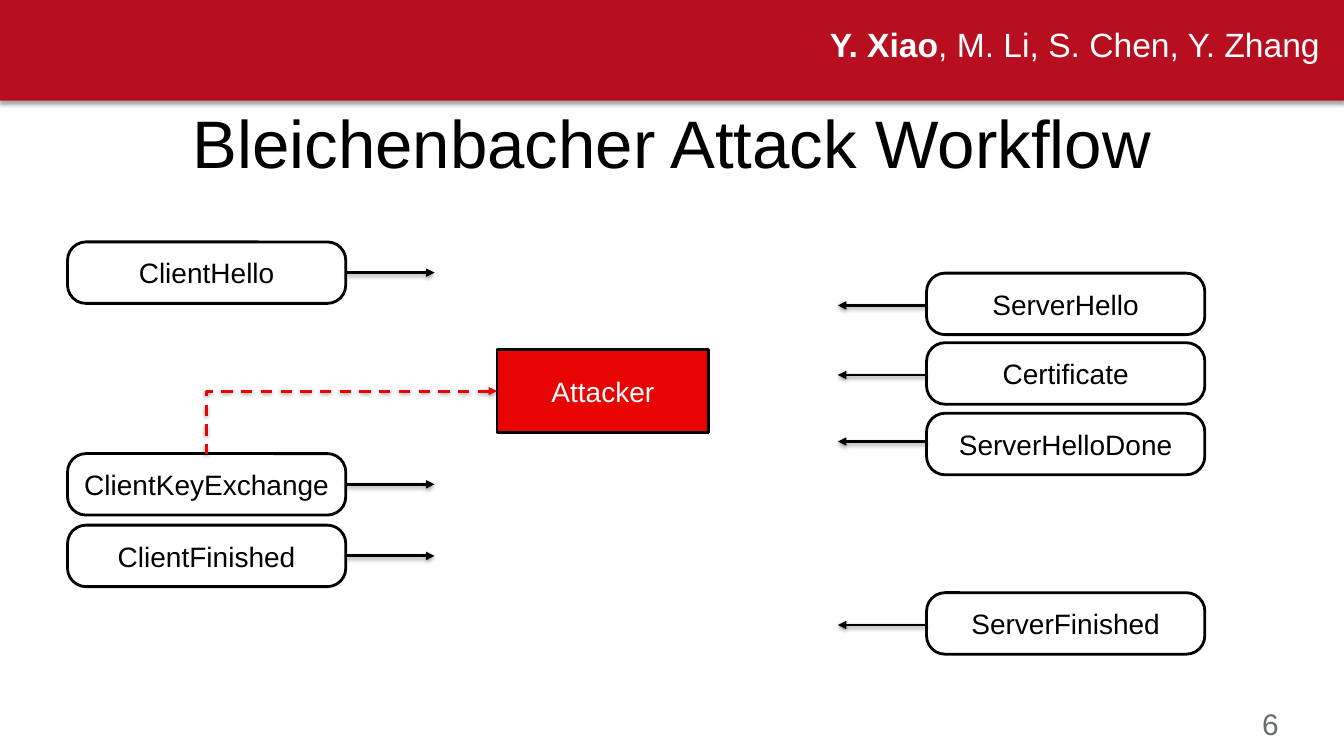
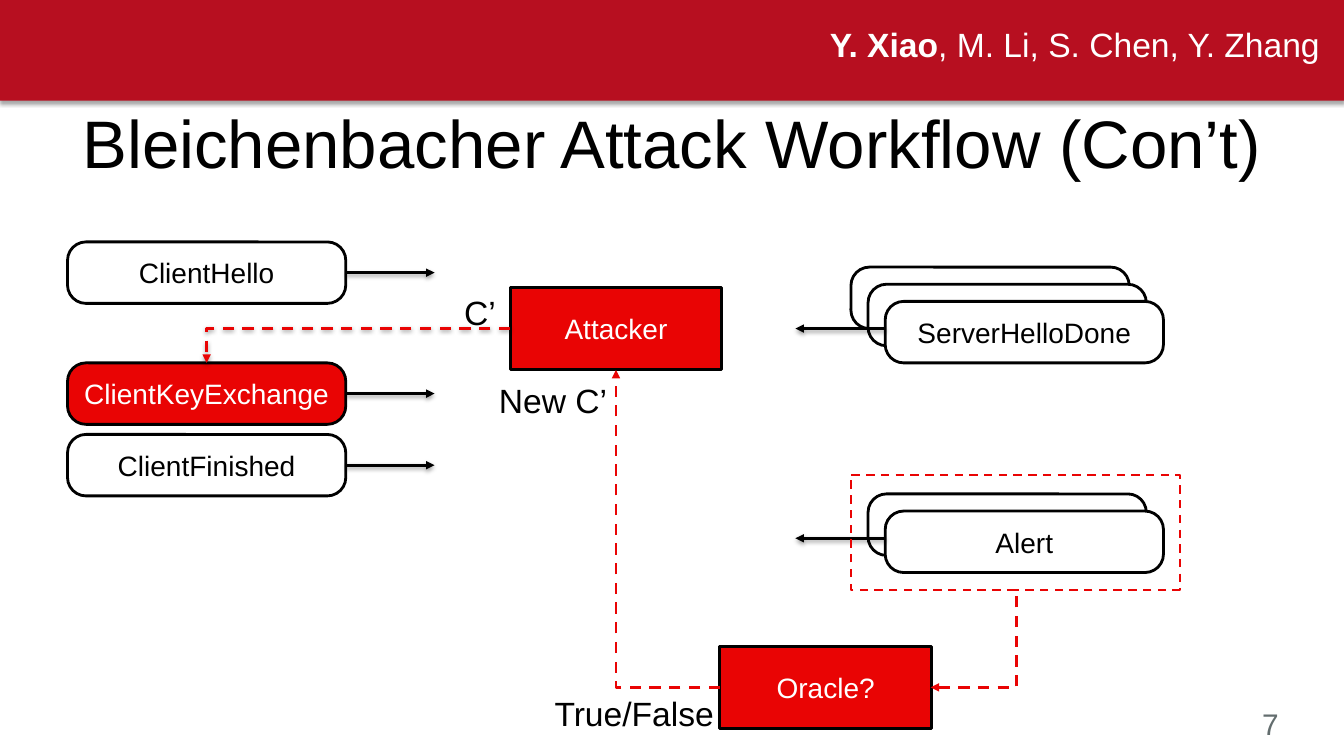
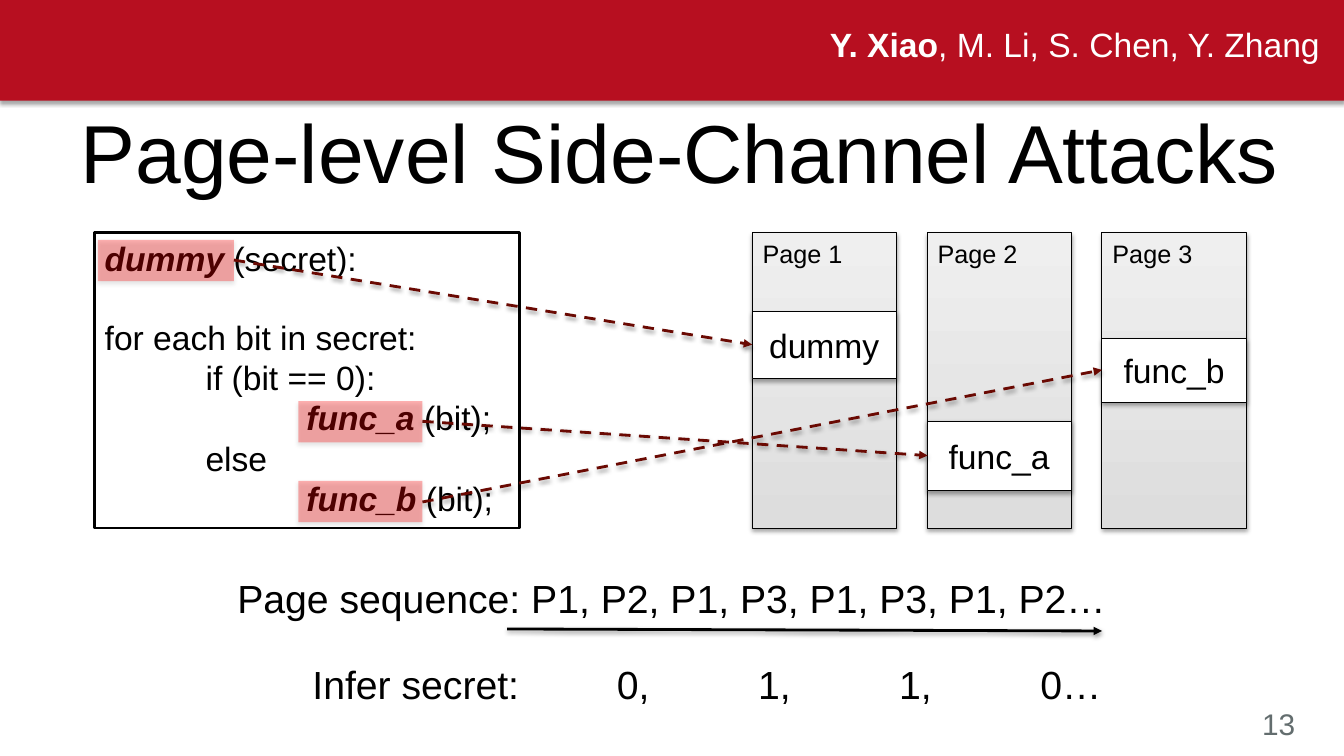
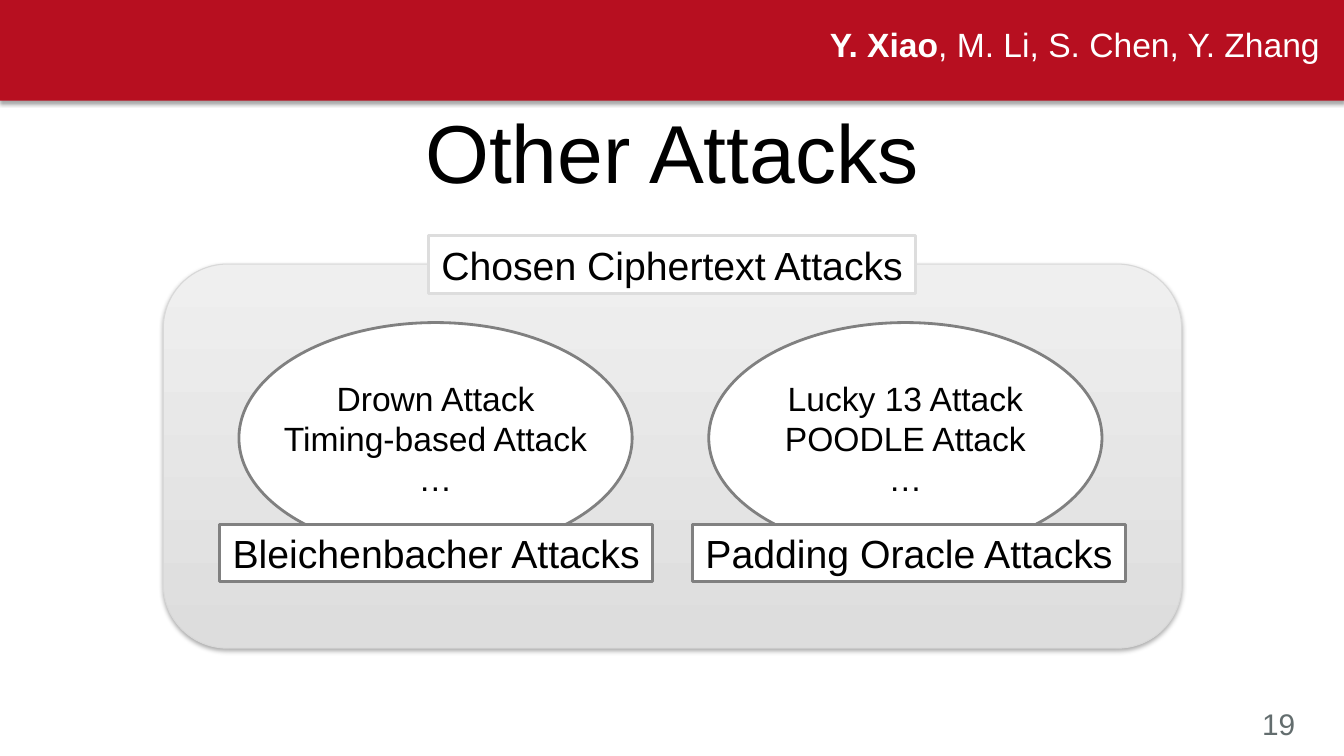
from lxml import etree
from pptx import Presentation
from pptx.dml.color import RGBColor
from pptx.enum.dml import MSO_LINE
from pptx.enum.shapes import MSO_CONNECTOR, MSO_SHAPE
from pptx.enum.text import MSO_ANCHOR, PP_ALIGN
from pptx.oxml import parse_xml
from pptx.oxml.ns import nsdecls, qn
from pptx.util import Inches, Pt

RECT, ROUND, OVAL = MSO_SHAPE.RECTANGLE, MSO_SHAPE.ROUNDED_RECTANGLE, MSO_SHAPE.OVAL
LEFT, CENTER, RIGHT = PP_ALIGN.LEFT, PP_ALIGN.CENTER, PP_ALIGN.RIGHT
TOP, MIDDLE = MSO_ANCHOR.TOP, MSO_ANCHOR.MIDDLE
STRAIGHT, ELBOW = MSO_CONNECTOR.STRAIGHT, MSO_CONNECTOR.ELBOW
DASH = MSO_LINE.DASH

FONT = "Arial"
C = {
    "band": "B70F20", "number": "636D6E", "red": "E90404", "dark_red": "6A0902",
    "mark": "FF0000", "black": "000000", "white": "FFFFFF", "grey": "808080",
    "grad_dark": "DDDDDD", "grad_light": "EFEFEF", "panel_edge": "D8D8D8",
}
SHADOW = (
    f'<a:outerShdw {nsdecls("a")} blurRad="40000" dist="%d" dir="5400000" rotWithShape="0">'
    '<a:srgbClr val="000000"><a:alpha val="%d"/></a:srgbClr></a:outerShdw>'
)
SHAPE_SHADOW = SHADOW % (23000, 35000)
LINE_SHADOW = SHADOW % (20000, 38000)


def box(s, kind, at, text="", fill=None, line=None, width=2, size=20, color="black",
        align=CENTER, anchor=MIDDLE, wrap=False, shadow=False, radius=None):
    """Add a shape, or a text box if kind is None; text between bars is bold."""
    at = [Inches(v) for v in at]
    sp = s.shapes.add_shape(kind, *at) if kind else s.shapes.add_textbox(*at)
    if radius:
        sp.adjustments[0] = radius
    if fill == "gradient":
        sp.fill.gradient()
        sp.fill.gradient_angle = 90
        for stop, name in zip(sp.fill.gradient_stops, ("grad_dark", "grad_light")):
            stop.color.rgb = RGBColor.from_string(C[name])
    elif fill:
        sp.fill.solid()
        sp.fill.fore_color.rgb = RGBColor.from_string(C[fill])
    else:
        sp.fill.background()
    if line:
        sp.line.color.rgb = RGBColor.from_string(C[line])
        sp.line.width = Pt(width)
    else:
        sp.line.fill.background()
    sp.shadow.inherit = False
    if shadow:
        sp._element.spPr.find(qn("a:effectLst")).append(parse_xml(SHAPE_SHADOW))

    tf = sp.text_frame
    tf.word_wrap, tf.vertical_anchor = wrap, anchor
    for i, row in enumerate(text.split("\n") if text else []):
        p = tf.add_paragraph() if i else tf.paragraphs[0]
        p.alignment = align
        for j, part in enumerate(row.split("|")):
            if part:
                r = p.add_run()
                r.text = part
                r.font.color.rgb = RGBColor.from_string(C[color])
                for key, value in {"name": FONT, "size": Pt(size), "bold": j % 2 == 1}.items():
                    setattr(r.font, key, value)
    return sp


def link(s, start, end, color="black", dash=False, bent=False, arrow="tailEnd", shadow=True):
    """Add an arrow; a bent one leaves start horizontally, headEnd points it at start."""
    c = s.shapes.add_connector(ELBOW if bent else STRAIGHT, *[Inches(v) for v in start + end])
    c.line.color.rgb = RGBColor.from_string(C[color])
    c.line.width = Pt(2)
    if dash:
        c.line.dash_style = DASH
    spPr = c._element.spPr
    if bent:
        spPr.find(qn("a:prstGeom")).set("prst", "bentConnector2")
    etree.SubElement(spPr.find(qn("a:ln")), qn(f"a:{arrow}"), type="triangle")
    effects = etree.SubElement(spPr, qn("a:effectLst"))
    if shadow:
        effects.append(parse_xml(LINE_SHADOW))


prs = Presentation()
prs.slide_width, prs.slide_height = Inches(13.33), Inches(7.5)

# Shared frame: band, authors, title, number
slides = []
for number, title, size, left in [
    (6, "Bleichenbacher Attack Workflow", 48, 0),
    (7, "Bleichenbacher Attack Workflow (Con’t)", 48, 0),
    (13, "Page-level Side-Channel Attacks", 58.7, 0.14),
    (19, "Other Attacks", 58.7, 0),
]:
    s = prs.slides.add_slide(prs.slide_layouts[6])
    box(s, RECT, (0, 0, 13.33, 1), fill="band", shadow=True)
    box(s, None, (8.08, 0.19, 5.11, 0.5), "|Y. Xiao|, M. Li, S. Chen, Y. Zhang",
        size=24, color="white", align=RIGHT)
    box(s, None, (left, 0.96, 13.33 - left, 0.91), title, size=size, anchor=TOP)
    box(s, None, (12.42, 6.95, 0.57, 0.46), str(number), size=21.3, color="number",
        align=LEFT, wrap=True)
    slides.append(s)
workflow, workflow_2, paging, others = slides

# Client messages of both workflow slides
MSG_W, MSG_H = 2.76, 0.61
MESSAGE = {"fill": "white", "line": "black", "radius": 0.3}
ACTOR = {"fill": "red", "line": "black", "color": "white"}
for s, tops in [(workflow, (2.4, 4.5, 5.21)), (workflow_2, (2.4, 3.6, 4.31))]:
    for name, top in zip(("ClientHello", "ClientKeyExchange", "ClientFinished"), tops):
        forged = s is workflow_2 and name == "ClientKeyExchange"
        box(s, ROUND, (0.67, top, MSG_W, MSG_H), name, **MESSAGE | (ACTOR if forged else {}))
        link(s, (3.43, top + MSG_H / 2), (4.31, top + MSG_H / 2))

# Workflow
for name, top, arrow_y in [
    ("ServerHello", 2.71, 3.03), ("Certificate", 3.4, 3.72),
    ("ServerHelloDone", 4.1, 4.38), ("ServerFinished", 5.88, 6.2),
]:
    box(workflow, ROUND, (9.19, top, MSG_W, MSG_H), name, **MESSAGE)
    link(workflow, (9.19, arrow_y), (8.31, arrow_y))
box(workflow, RECT, (4.93, 3.47, 2.1, 0.82), "Attacker", **ACTOR)
link(workflow, (4.93, 3.88), (2.05, 4.5), "red", dash=True, bent=True, arrow="headEnd")

# Workflow, continued: stacked server replies feed the oracle
s = workflow_2
for name, top, count in [("ServerHelloDone", 2.99, 3), ("Alert", 5.07, 2)]:
    for back in reversed(range(count)):
        shift = 0.17 * back
        box(s, ROUND, (8.78 - shift, top - shift, MSG_W, MSG_H), "" if back else name, **MESSAGE)
    link(s, (8.78, top + 0.27), (7.89, top + 0.27))
box(s, RECT, (8.44, 4.71, 3.26, 1.14), line="red", width=1.5).line.dash_style = DASH
for name, left, top in [("Attacker", 5.06, 2.85), ("Oracle?", 7.14, 6.41)]:
    box(s, RECT, (left, top, 2.1, 0.82), name, **ACTOR)
for start, end, arrow, shadow in [
    ((9.23, 6.82), (10.08, 5.85), "headEnd", False),
    ((7.14, 6.82), (6.11, 3.67), "tailEnd", False),
    ((5.06, 3.26), (2.05, 3.6), "tailEnd", True),
]:
    link(s, start, end, "red", dash=True, bent=True, arrow=arrow, shadow=shadow)
for label, left, top, width in [
    ("C’", 4.5, 2.85, 0.52), ("New C’", 4.84, 3.72, 1.29), ("True/False", 5.39, 6.82, 1.8),
]:
    box(s, None, (left, top, width, 0.5), label, size=24)

# Page-level attacks: code, marked calls, pages
s = paging
code = (
    "|dummy| (secret):\nfor each bit in secret:\nif (bit == 0):\n"
    "|func_a| (bit);\nelse\n|func_b| (bit);"
)
sp = box(s, RECT, (0.94, 2.31, 4.21, 2.93), code, fill="white", line="black", size=24,
         align=LEFT, anchor=TOP, wrap=True)
for p, depth in zip(sp.text_frame.paragraphs, (0, 0, 1, 2, 1, 2)):
    p._p.get_or_add_pPr().set("marL", str(Inches(depth)))
    for r in p.runs:
        r.font.italic = r.font.bold
sp.text_frame.paragraphs[1].space_before = Pt(27.6)

for left, top, width in [(0.97, 2.38, 1.35), (2.96, 4.77, 1.23), (2.96, 3.98, 1.23)]:
    sp = box(s, RECT, (left, top, width, 0.41), fill="mark", shadow=True)
    mark = sp._element.spPr.find(qn("a:solidFill"))[0]
    etree.SubElement(mark, qn("a:alpha"), val="30000")

for i, (name, top, height) in enumerate(
    [("dummy", 3.09, 0.67), ("func_a", 4.18, 0.69), ("func_b", 3.36, 0.63)]
):
    left = 7.46 + 1.735 * i
    page = {"line": "black", "width": 0.75, "shadow": True}
    box(s, RECT, (left, 2.31, 1.43, 2.93), fill="gradient", **page)
    box(s, RECT, (left, top, 1.43, height), name, fill="white", size=24, **page)
    box(s, None, (left, 2.31, 1, 0.4), f"Page {i + 1}", size=18)
for start, end in [
    ((2.32, 2.58), (7.46, 3.42)), ((4.19, 4.98), (10.93, 3.67)), ((4.19, 4.18), (9.2, 4.52)),
]:
    link(s, start, end, "dark_red", dash=True)

box(s, None, (2.24, 5.65, 8.84, 0.57), "Page sequence: P1, P2, P1, P3, P1, P3, P1, P2…", size=28)
link(s, (5.03, 6.24), (10.93, 6.26))
sp = box(s, None, (3, 6.5, 8.11, 0.57), "Infer secret:\t0,\t1,\t1,\t0…", size=28,
         align=LEFT, wrap=True)
tabs = etree.SubElement(sp.text_frame.paragraphs[0]._p.get_or_add_pPr(), qn("a:tabLst"))
for i in range(4):
    etree.SubElement(tabs, qn("a:tab"), pos=str(Inches(3.02 + 1.4 * i)), algn="l")

# Other attacks: two families inside one panel
s = others
box(s, ROUND, (1.62, 2.62, 10.1, 3.81), fill="gradient", line="panel_edge", width=0.75, shadow=True)
box(s, RECT, (4.25, 2.34, 4.83, 0.57), "Chosen Ciphertext Attacks", fill="white",
    line="grad_dark", size=28)
for left, label_left, label, members in [
    (2.37, 2.18, "Bleichenbacher Attacks", "Drown Attack\nTiming-based Attack\n…"),
    (7.03, 6.87, "Padding Oracle Attacks", "Lucky 13 Attack\nPOODLE Attack\n…"),
]:
    family = {"fill": "white", "line": "grey"}
    box(s, OVAL, (left, 3.2, 3.9, 2.29), members, size=24, **family)
    box(s, RECT, (label_left, 5.2, 4.29, 0.57), label, size=28, **family)

prs.save("out.pptx")
